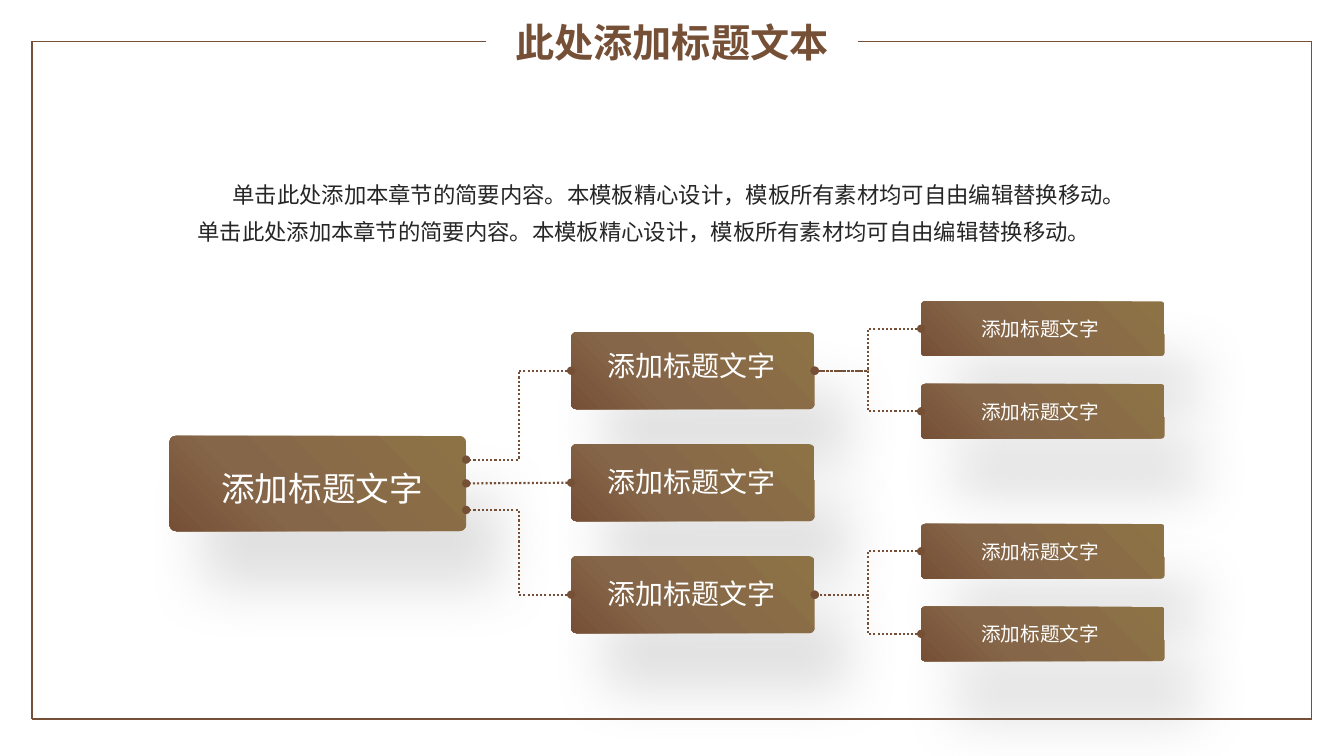
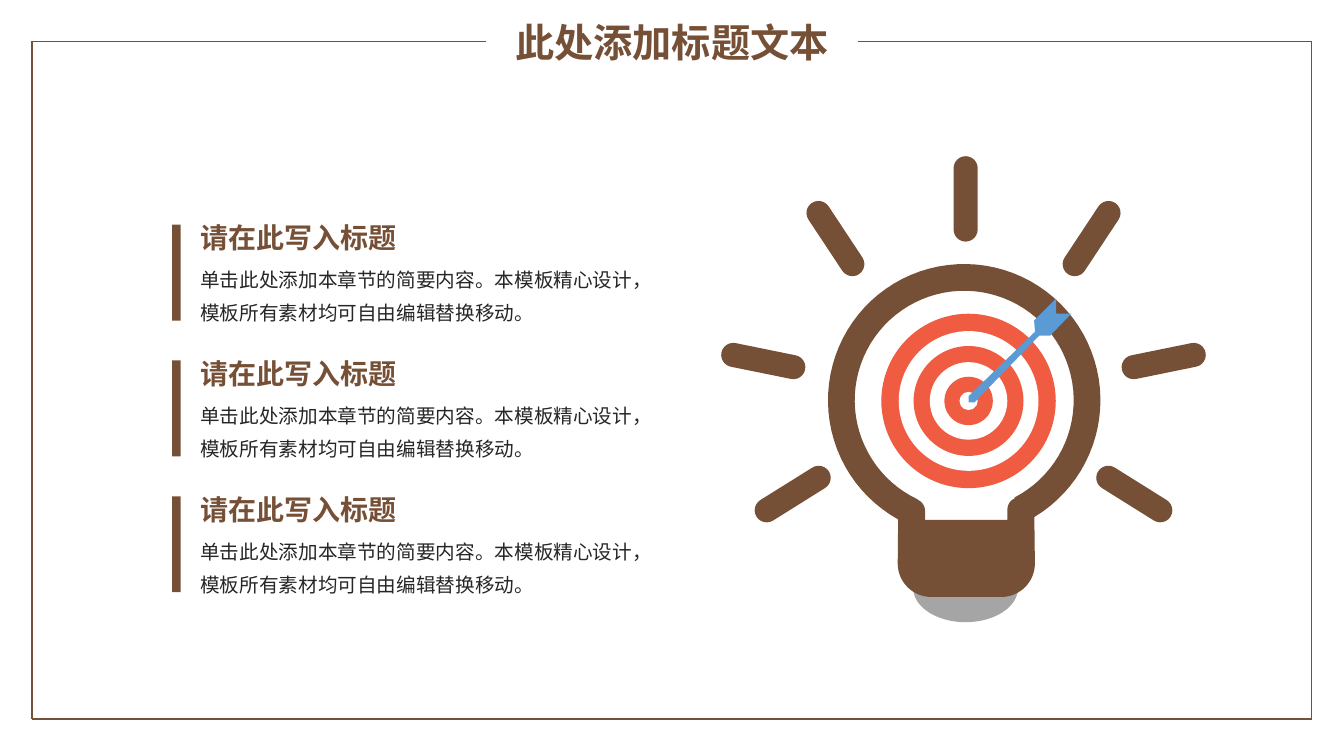
from copy import deepcopy
from dataclasses import dataclass
from math import cos, radians, sin

from lxml import etree
from pptx import Presentation
from pptx.dml.color import RGBColor
from pptx.enum import dml, shapes, text
from pptx.oxml.ns import qn
from pptx.util import Pt


@dataclass(frozen=True)
class Theme:
    """Hold the colours, face and type sizes of the deck."""

    face: str = "Noto Sans CJK SC"
    brown: str = "765036"
    mid: str = "866649"
    gold: str = "8D7245"
    ink: str = "262626"
    white: str = "FFFFFF"
    red: str = "F05C42"
    blue: str = "5B9BD5"
    grey: str = "A5A5A5"
    shade: str = "808080"
    title: int = 28
    root: int = 24
    head: int = 20
    lead: int = 16
    small: int = 14


T = Theme()
KIND = shapes.MSO_SHAPE
LEFT, MID = text.PP_ALIGN.LEFT, text.PP_ALIGN.CENTER
TITLE = "此处添加标题文本"
LABEL = "添加标题文字"
HEAD = "请在此写入标题"
BODY = "单击此处添加本章节的简要内容。本模板精心设计，模板所有素材均可自由编辑替换移动。"


def put(item, **vals):
    """Set each named value on an object."""
    for name, val in vals.items():
        setattr(item, name, val)


def node(top, tag, **vals):
    """Add an XML child with the given attributes."""
    return etree.SubElement(top, qn(tag), {k: str(v) for k, v in vals.items()})


def pts(*vals):
    """Turn numbers into point lengths."""
    return [Pt(v) for v in vals]


def write(frame, words, size, tint, bold=False, align=LEFT, space=None, indent=0):
    """Write one styled paragraph in a text frame."""
    para = frame.paragraphs[0]
    put(para, alignment=align, line_spacing=space)
    if indent:
        para._p.get_or_add_pPr().set("indent", str(Pt(indent)))
    run = para.add_run()
    run.text = words
    put(run.font, size=Pt(size), bold=bold, name=T.face)
    run.font.color.rgb = RGBColor.from_string(tint)
    node(run._r.get_or_add_rPr(), "a:ea", typeface=T.face)


def note(slide, box, words, size, tint, wrap=True, **form):
    """Place a text box."""
    frame = slide.shapes.add_textbox(*pts(*box)).text_frame
    frame.word_wrap = wrap
    write(frame, words, size, tint, **form)


def paint(shape, tint):
    """Give a shape a flat fill with no line or shadow."""
    shape.shadow.inherit = False
    shape.fill.solid()
    shape.fill.fore_color.rgb = RGBColor.from_string(tint)
    shape.line.fill.background()


def block(slide, kind, box, tint):
    """Place a flat preset shape."""
    shape = slide.shapes.add_shape(kind, *pts(*box))
    paint(shape, tint)
    return shape


def trace(slide, tint, *loops):
    """Draw closed outlines as one flat shape."""
    first = loops[0][0]
    pen = slide.shapes.build_freeform(*pts(*first), scale=1.0)
    for num, loop in enumerate(loops):
        if num:
            pen.move_to(*pts(*loop[0]))
        pen.add_line_segments([pts(*spot) for spot in loop[1:]], close=True)
    paint(pen.convert_to_shape(), tint)


def arc(x, y, r, start, end, step=4):
    """List points along a circle, with angles clockwise from the right."""
    count = max(2, round(abs(end - start) / step))
    turns = [radians(start + (end - start) * i / count) for i in range(count + 1)]
    return [(x + r * cos(a), y + r * sin(a)) for a in turns]


def line(slide, ends, width, kind=shapes.MSO_CONNECTOR.STRAIGHT):
    """Place a plain brown connector."""
    link = slide.shapes.add_connector(kind, *pts(*ends))
    link.line.width = Pt(width)
    link.line.color.rgb = RGBColor.from_string(T.brown)
    node(link._element.spPr, "a:effectLst")
    return link


def frame(slide, box):
    """Draw the page border, broken at the top for the title."""
    x, y, w, h = box
    right, foot, side = x + w, y + h, 324
    for ends in (
        (right, y, right, foot),
        (right, foot, x, foot),
        (x, y, x, foot),
        (x + side, y, x, y),
        (right, y, right - side, y),
    ):
        line(slide, ends, 1)
    note(slide, (x + w / 2 - 119, y - 20, 238, 41), TITLE, T.title, T.brown,
         wrap=False, bold=True, align=MID)


def card(slide, box, size, dx=0, dy=0):
    """Place a shaded card with its label nudged by dx and dy."""
    shape = block(slide, KIND.ROUNDED_RECTANGLE, box, T.gold)
    shape.adjustments[0] = 0.07
    shape.fill.gradient()
    stops = shape._element.spPr.find(".//" + qn("a:gsLst"))
    stops.append(deepcopy(stops[0]))
    tints = ((0, T.gold), (0.67, T.mid), (1, T.brown))
    for stop, (place, tint) in zip(shape.fill.gradient_stops, tints):
        stop.position = place
        stop.color.rgb = RGBColor.from_string(tint)
    shape.fill.gradient_angle = 225
    glow = node(shape._element.spPr.find(qn("a:effectLst")), "a:outerShdw",
                blurRad=Pt(40), dist=Pt(47), dir=60 * 60000, algn="ctr", rotWithShape=0)
    node(node(glow, "a:srgbClr", val=T.shade), "a:alpha", val=23000)
    words = shape.text_frame
    put(words, word_wrap=True, vertical_anchor=text.MSO_ANCHOR.MIDDLE,
        margin_left=Pt(10 + dx), margin_right=Pt(10 - dx),
        margin_top=Pt(5 + dy), margin_bottom=Pt(5 - dy))
    write(words, LABEL, size, T.white, align=MID)
    return shape


def join(slide, child, owner, shift=0, bent=True):
    """Link a child's left side to its owner's right side."""
    kinds = shapes.MSO_CONNECTOR
    edge = (owner.left + owner.width).pt if hasattr(owner.left + owner.width, "pt") \
        else (owner.left + owner.width) / Pt(1)
    ends = (child.left.pt, (child.top + child.height / 2) / Pt(1),
            edge, (owner.top + owner.height / 2) / Pt(1) + shift)
    link = line(slide, ends, 1.5, kinds.ELBOW if bent else kinds.STRAIGHT)
    link.begin_connect(child, 1)
    if not shift:
        link.end_connect(owner, 3)
    link.line.dash_style = dml.MSO_LINE.ROUND_DOT
    for tag in ("a:headEnd", "a:tailEnd"):
        node(link.line._ln, tag, type="oval")


def tree(slide, box):
    """Draw a root, three branches and two pairs of leaves."""
    x, y, w, h = box
    root = card(slide, (x, y + 96, 212, 68), T.root, 3, 3)
    limbs = [card(slide, (x + 287, y + 22 + 80 * i, 174, 55), T.head, -1, dy)
             for i, dy in enumerate((-4, -1, -1))]
    pairs = [(limbs[2 * i], card(slide, (x + w - 174, y + 159 * i + 59 * j, 174, 39),
                                 T.small, -2))
             for i in range(2) for j in range(2)]
    for limb, shift in zip(limbs, (-17, 0, 19)):
        join(slide, limb, root, shift, bent=bool(shift))
    for limb, leaf in pairs:
        join(slide, leaf, limb)


def item(slide, box):
    """Place a bar, a heading and its text."""
    x, y, w, h = box
    block(slide, KIND.RECTANGLE, (x, y + 6.5, 6, 68.5), T.brown)
    note(slide, (x + 13, y, 212, 32), HEAD, T.head, T.brown, bold=True)
    note(slide, (x + 13, y + 27.3, w - 13, 55), BODY, T.small, T.ink, space=1.4)


def rays(slide, x, y):
    """Place seven tilted rays around a centre."""
    half = ((122, 67, 32), (143, -28, -11.5), (91.5, -115.5, -56.5))
    spots = [(1.5, -143.8, 90)]
    for side in (1, -1):
        spots += [(side * dx, dy, side * tilt) for dx, dy, tilt in half]
    for dx, dy, tilt in spots:
        ray = block(slide, KIND.ROUNDED_RECTANGLE,
                    (x + dx - 30.5, y + dy - 8.6, 61, 17.2), T.brown)
        ray.adjustments[0] = 0.5
        ray.rotation = tilt


def bulb(slide, box):
    """Draw a lamp with rays, a target and a dart."""
    x, y, w, h = box
    cx, cy = x + w / 2, y + 173.5
    block(slide, KIND.OVAL, (cx - 36, cy + 109.5, 75, 49), T.grey)
    rays(slide, cx, cy)
    outer = (arc(cx + 0.5, cy, 97.3, 119, 419)
             + arc(cx + 27, cy + 116.5, 24, 0, 90)
             + arc(cx - 23, cy + 116.5, 24, 90, 180))
    inner = (arc(cx + 0.5, cy, 78.2, 115.5, 422.5)
             + arc(cx + 40, cy + 78, 8.6, 245, 180)
             + [(cx + 31.4, cy + 85.5), (cx - 27.5, cy + 85.5)]
             + arc(cx - 36.1, cy + 79, 8.6, 0, -65))
    trace(slide, T.brown, outer, inner)
    for num, size in enumerate((124.6, 99.8, 78.5, 55.4, 34.6, 13)):
        block(slide, KIND.OVAL, (cx + 3.6 - size / 2, cy + 0.5 - size / 2, size, size),
              T.white if num % 2 else T.red)
    dart = ((50.4, 26.6), (58.3, 26.6), (73.4, 10.8), (62.6, 10.8), (62.6, 0),
            (46.8, 15.8), (47.5, 23.8), (0, 69.8), (0, 74.2), (4.3, 74.2))
    trace(slide, T.blue, [(cx + 3.6 + dx, cy - 72.7 + dy) for dx, dy in dart])


def main():
    """Build and save both slides."""
    deck = Presentation()
    put(deck, slide_width=Pt(960), slide_height=Pt(540))
    first, second = [deck.slides.add_slide(deck.slide_layouts[6]) for _ in range(2)]
    for slide in (first, second):
        frame(slide, (23, 29.5, 914, 484))
    tree(first, (121, 215.3, 711, 257))
    note(first, (134, 118, 692, 61), BODY * 2, T.lead, T.ink, space=1.4, indent=25)
    bulb(second, (515, 112.4, 346.5, 332))
    for i in range(3):
        item(second, (123, 154 + 97 * i, 348, 82))
    deck.save("out.pptx")


if __name__ == "__main__":
    main()
